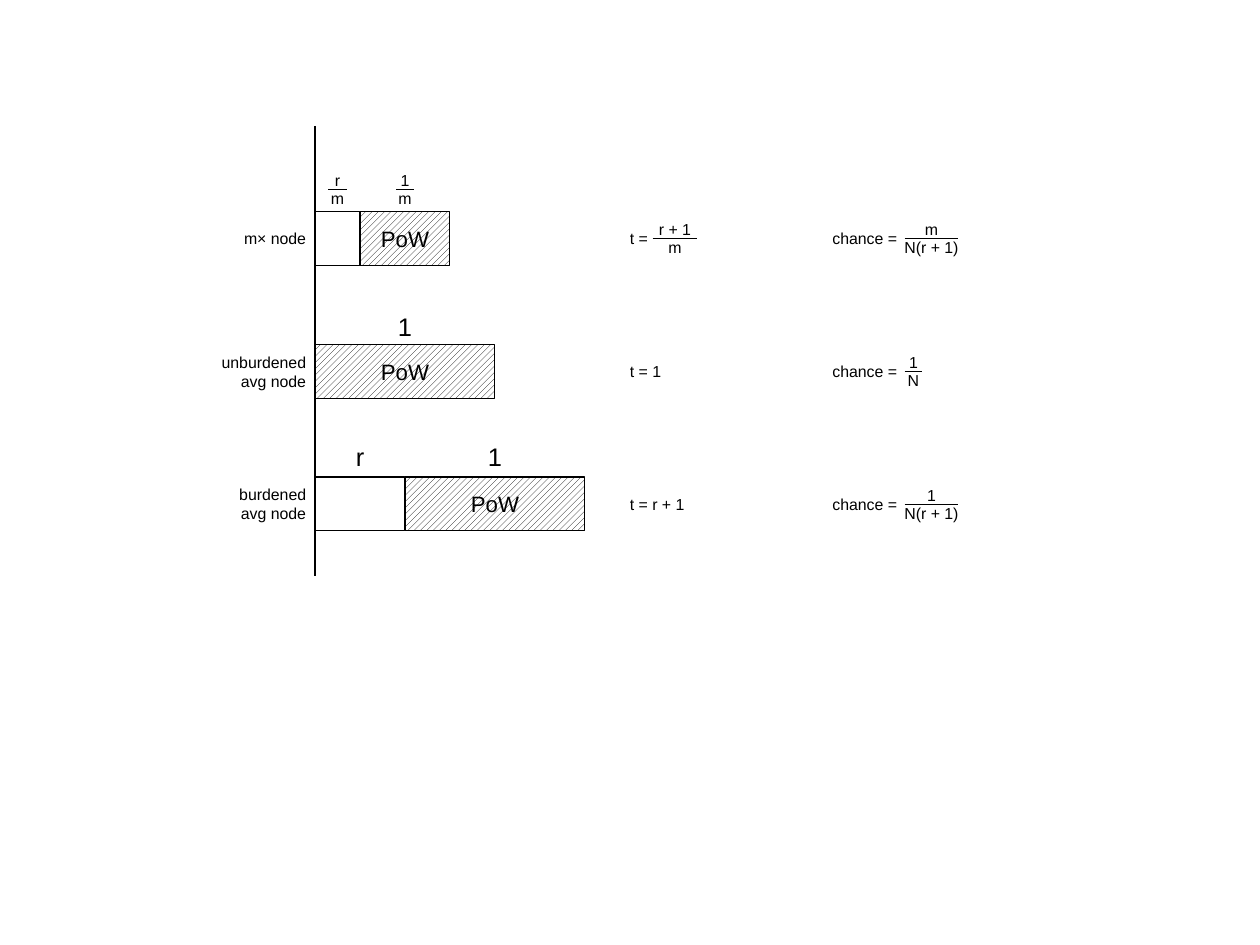
from dataclasses import dataclass

from lxml import etree
from pptx import Presentation
from pptx.dml.color import RGBColor
from pptx.enum.dml import MSO_PATTERN
from pptx.enum.shapes import MSO_CONNECTOR, MSO_SHAPE
from pptx.enum.text import MSO_ANCHOR, PP_ALIGN
from pptx.oxml.ns import qn
from pptx.util import Inches, Pt

RECTANGLE = MSO_SHAPE.RECTANGLE
STRAIGHT = MSO_CONNECTOR.STRAIGHT
HATCH = MSO_PATTERN.WIDE_UPWARD_DIAGONAL
MIDDLE = MSO_ANCHOR.MIDDLE
LEFT, CENTER, RIGHT = PP_ALIGN.LEFT, PP_ALIGN.CENTER, PP_ALIGN.RIGHT
GRID = 2.54  # grid steps per inch; all places below are in grid steps


@dataclass(frozen=True)
class Theme:
    font: str = "Arial"
    black: RGBColor = RGBColor(0, 0, 0)
    white: RGBColor = RGBColor(255, 255, 255)
    small: float = 10
    work: float = 14
    length: float = 16
    hairline: float = 0
    fraction_line: float = 0.57
    axis_line: float = 1.42


theme = Theme()


def add_text(shapes, text, box, size=theme.small, align=LEFT, wrap=True):
    """Add a text box without margins, anchored in the middle of box."""
    shape = shapes.add_textbox(*[Inches(step / GRID) for step in box])
    frame = shape.text_frame
    frame.margin_left = frame.margin_right = 0
    frame.margin_top = frame.margin_bottom = 0
    frame.vertical_anchor = MIDDLE
    frame.word_wrap = wrap
    paragraph = frame.paragraphs[0]
    paragraph.alignment = align
    run = paragraph.add_run()
    run.text = text
    run.font.name = theme.font
    run.font.size = Pt(size)
    run.font.color.rgb = theme.black


def add_line(shapes, start, end, weight):
    connector = shapes.add_connector(STRAIGHT, *[Inches(step / GRID) for step in start + end])
    connector.line.color.rgb = theme.black
    connector.line.width = Pt(weight)
    etree.SubElement(connector._element.spPr, qn("a:effectLst"))


presentation = Presentation()
presentation.slide_width = Inches(28 / GRID)
presentation.slide_height = Inches(21 / GRID)
slide = presentation.slides.add_slide(presentation.slide_layouts[6])

axis_x = 7
unit = 4  # width of a bar of length 1
bar_height = 1.2
first_middle, row_pitch = 5.3, 2.95
line_height = 0.4
label_x, label_width = 4.8, 2
time_x, chance_x, formula_width = 14, 18.5, 3
chance_fraction_x = 20.1
narrow, medium, wide = 0.4, 1, 1.2

# label, label lines, burden length, work length, time text
rows = [
    ("m× node", 1, 0.25, 0.5, "t ="),
    ("unburdened avg node", 2, 0, 1, "t = 1"),
    ("burdened avg node", 2, 0.5, 1, "t = r + 1"),
]

for index, (label, lines, burden, work, time) in enumerate(rows):
    middle = first_middle + index * row_pitch
    height = lines * line_height
    add_text(slide.shapes, label, (label_x, middle - height / 2, label_width, height), align=RIGHT)
    for text, left in ((time, time_x), ("chance =", chance_x)):
        add_text(slide.shapes, text, (left, middle - line_height / 2, formula_width, line_height))

    for start, length, hatched in ((0, burden, False), (burden, work, True)):
        if not length:
            continue
        box = (axis_x + start * unit, middle - bar_height / 2, length * unit, bar_height)
        bar = slide.shapes.add_shape(RECTANGLE, *[Inches(step / GRID) for step in box])
        bar.shadow.inherit = False
        bar.line.color.rgb = theme.black
        bar.line.width = Pt(theme.hairline)
        if not hatched:
            bar.fill.solid()
            bar.fill.fore_color.rgb = theme.white
            continue
        bar.fill.patterned()
        bar.fill.pattern = HATCH
        bar.fill.fore_color.rgb = theme.black
        bar.fill.back_color.rgb = theme.white
        frame = bar.text_frame
        frame.word_wrap = False
        frame.vertical_anchor = MIDDLE
        paragraph = frame.paragraphs[0]
        paragraph.alignment = CENTER
        run = paragraph.add_run()
        run.text = "PoW"
        run.font.name = theme.font
        run.font.size = Pt(theme.work)
        run.font.color.rgb = theme.black

add_line(slide.shapes, (axis_x, 2.8), (axis_x, 12.8), theme.axis_line)

# text, centre in bar lengths, top
for text, position, top in (("1", 0.5, 6.8), ("r", 0.25, 9.7), ("1", 1, 9.7)):
    box = (axis_x + position * unit - 0.4, top, 0.8, 0.9)
    add_text(slide.shapes, text, box, theme.length, CENTER)

# numerator, denominator, left, line height, line width
fractions = [
    ("r", "m", 7.3, 4.2, narrow),
    ("1", "m", 8.8, 4.2, narrow),
    ("r + 1", "m", 14.5, first_middle, medium),
    ("m", "N(r + 1)", chance_fraction_x, first_middle, wide),
    ("1", "N", chance_fraction_x, first_middle + row_pitch, narrow),
    ("1", "N(r + 1)", chance_fraction_x, first_middle + 2 * row_pitch, wide),
]
for numerator, denominator, left, line_y, width in fractions:
    fraction = slide.shapes.add_group_shape().shapes
    for text, top in ((numerator, line_y - line_height), (denominator, line_y)):
        add_text(fraction, text, (left, top, width, line_height), align=CENTER, wrap=False)
    add_line(fraction, (left, line_y), (left + width, line_y), theme.fraction_line)

presentation.save("out.pptx")
